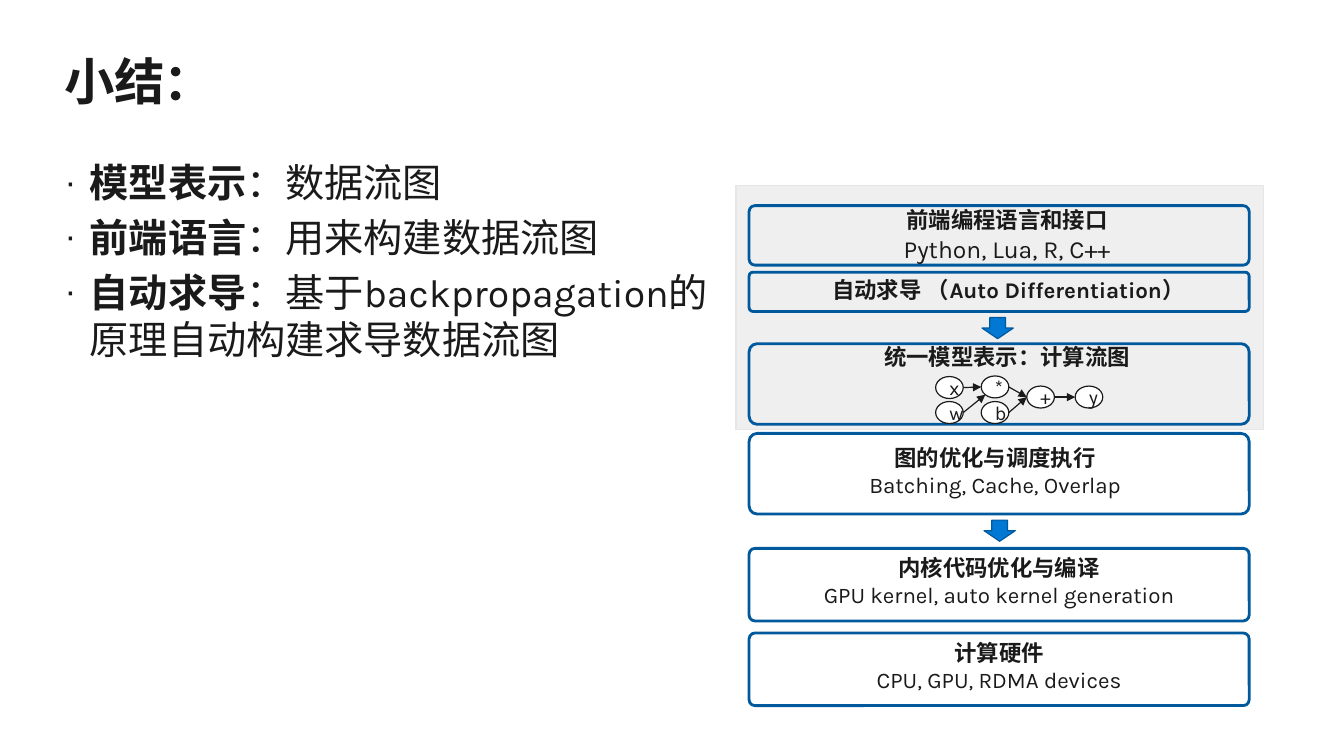
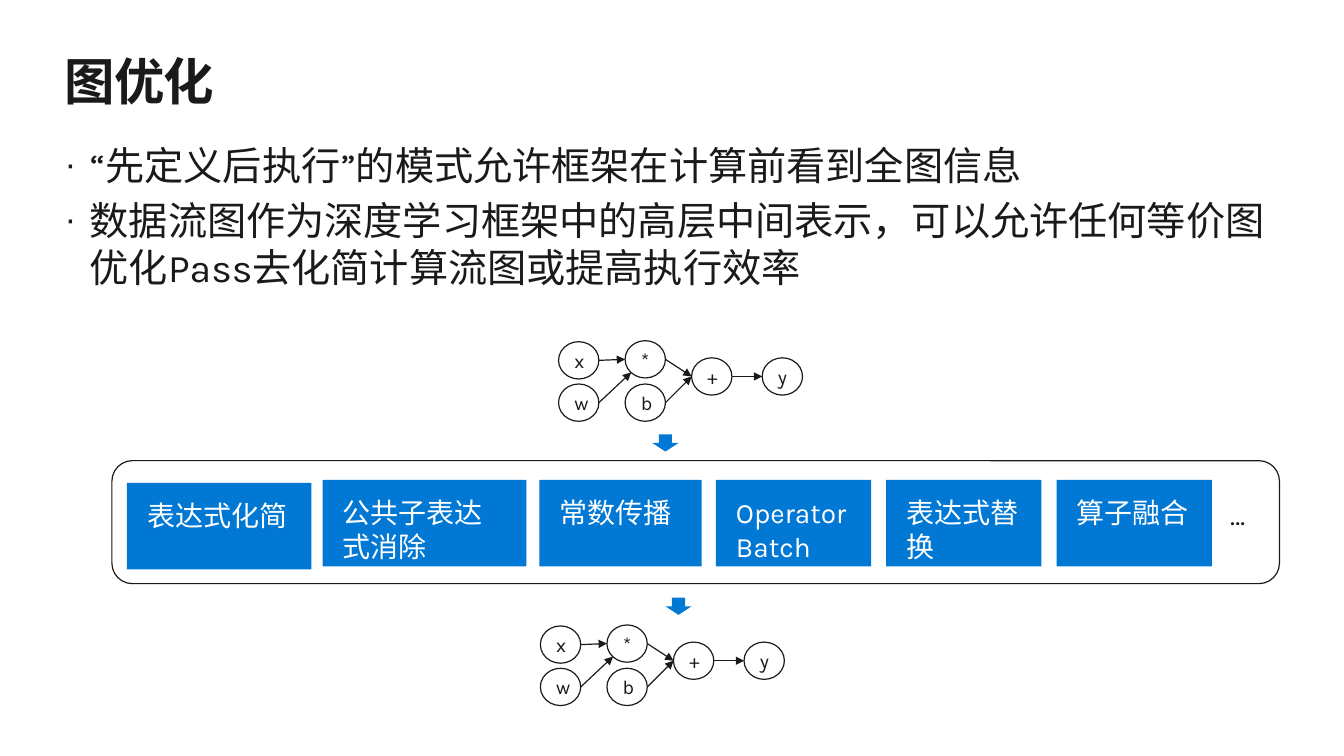
from dataclasses import dataclass

from lxml import etree
from pptx import Presentation
from pptx import util as u
from pptx.dml.color import RGBColor
from pptx.enum import shapes, text
from pptx.oxml import ns


@dataclass(frozen=True)
class Theme:
    font: str = "Karla"
    ink: str = "1A1A1A"
    white: str = "FFFFFF"
    blue: str = "0078D4"
    navy: str = "00599D"
    grey: str = "EFEFEF"
    rim: str = "E6E6E6"
    title: float = 36
    body: float = 28
    item: float = 20
    label: float = 16
    accent: float = 17.6
    node: float = 14
    thin: float = 0.85
    thick: float = 2


THEME = Theme()
WIDTH, HEIGHT, MARGIN = 13.33, 7.5, 0.64
FULL = WIDTH - 2 * MARGIN
SHAPE = shapes.MSO_SHAPE
LEFT, CENTER = text.PP_ALIGN.LEFT, text.PP_ALIGN.CENTER
TOP, MIDDLE = text.MSO_ANCHOR.TOP, text.MSO_ANCHOR.MIDDLE

# Content: a paragraph is a list of (words, bold) spans
SUMMARY = [
    [("模型表示", True), ("：数据流图", False)],
    [("前端语言", True), ("：用来构建数据流图", False)],
    [("自动求导", True), ("：基于backpropagation的原理自动构建求导数据流图", False)],
]
GRAPH_POINTS = [
    [("“先定义后执行”的模式允许框架在计算前看到全图信息", False)],
    [("数据流图作为深度学习框架中的高层中间表示，可以允许任何等价图优化Pass去化简计算流图或提高执行效率", False)],
]

# Stack layers: top, height, corner, label top, label shift, heading, detail, detail size
STACK_LEFT, STACK_WIDTH = 7.43, 4.96
LAYERS = [
    (2.04, 0.59, 0.1, 2.0, 0.08, "前端编程语言和接口", "Python, Lua, R, C++", THEME.accent),
    (2.7, 0.39, 0.1, 2.69, 0.09, "自动求导 （Auto Differentiation）", None, None),
    (3.41, 0.8, 0.1, 3.35, 0.08, "统一模型表示：计算流图", None, None),
    (4.3, 0.8, 0.1, 4.36, -0.04, "图的优化与调度执行", "Batching, Cache, Overlap", THEME.label),
    (5.44, 0.72, 0.08, 5.45, 0, "内核代码优化与编译", "GPU kernel, auto kernel generation", THEME.label),
    (6.28, 0.72, 0.08, 6.29, 0, "计算硬件", "CPU, GPU, RDMA devices", THEME.label),
]
STACK_ARROWS = [(9.74, 3.15), (9.76, 5.16)]

# Optimization passes: name, left, top, width
PASSES = [
    ("表达式化简", 1.26, 4.79, 1.83),
    ("公共子表达式消除", 3.2, 4.76, 2.02),
    ("常数传播", 5.35, 4.76, 1.61),
    ("Operator Batch", 7.1, 4.76, 1.54),
    ("表达式替换", 8.79, 4.76, 1.54),
    ("算子融合", 10.48, 4.76, 1.54),
]
PASS_ARROWS = [(6.47, 4.31), (6.6, 5.93)]

# Data-flow graph at full scale: node places, and edges with their end point on the target
NODE_WIDTH, NODE_HEIGHT = 0.4, 0.37
NODES = {"x": (0, 0.01), "w": (0, 0.43), "b": (0.66, 0.43),
         "*": (0.66, 0), "+": (1.32, 0.17), "y": (2.02, 0.17)}
SIDE, LOWER = (0, 0.5), (0.15, 0.85)
EDGES = [("x", "*", SIDE), ("w", "*", LOWER), ("b", "+", SIDE),
         ("*", "+", SIDE), ("+", "y", SIDE)]


# Text
def write(frame, paragraphs, *, size, color=THEME.ink, align=LEFT, anchor=TOP,
          inset=(0.1, 0.05), wrap=True, spacing=None, bullet=False):
    """Fill a frame with lists of (words, bold[, size]) spans."""
    frame.word_wrap = wrap
    frame.auto_size = text.MSO_AUTO_SIZE.NONE
    frame.vertical_anchor = anchor
    frame.margin_left = frame.margin_right = u.Inches(inset[0])
    frame.margin_top = frame.margin_bottom = u.Inches(inset[1])
    for index, spans in enumerate(paragraphs):
        para = frame.add_paragraph() if index else frame.paragraphs[0]
        para.alignment = align
        if bullet:
            add_bullet(para)
        for words, bold, *own_size in spans:
            span = para.add_run()
            span.text = words
            span.font.size = u.Pt(own_size[0] if own_size else size)
            span.font.bold = bold
            span.font.name = THEME.font
            span.font.color.rgb = RGBColor.from_string(color)
            properties = span.font._element
            etree.SubElement(properties, ns.qn("a:ea"), typeface=THEME.font)
            if spacing is not None:
                properties.set("spc", str(round(spacing * 100)))


def add_bullet(para):
    properties = para._p.get_or_add_pPr()
    indent = u.Inches(0.25)
    properties.set("marL", str(indent))
    properties.set("indent", str(-indent))
    etree.SubElement(properties, ns.qn("a:buSzPct"), val="90000")
    etree.SubElement(properties, ns.qn("a:buChar"), char="·")


def add_text(page, at, paragraphs, **style):
    box = page.shapes.add_textbox(*map(u.Inches, at))
    write(box.text_frame, paragraphs, **style)


# Shapes
def add_box(page, kind, at, fill=None, line=None, weight=THEME.thin, corner=None):
    box = page.shapes.add_shape(kind, *map(u.Inches, at))
    box.shadow.inherit = False
    if fill:
        box.fill.solid()
        box.fill.fore_color.rgb = RGBColor.from_string(fill)
    else:
        box.fill.background()
    if line:
        box.line.color.rgb = RGBColor.from_string(line)
        box.line.width = u.Pt(weight)
    else:
        box.line.fill.background()
    if corner is not None:
        box.adjustments[0] = corner
    return box


def add_arrow(page, start, end):
    arrow = page.shapes.add_connector(shapes.MSO_CONNECTOR.STRAIGHT,
                                      *map(u.Inches, (*start, *end)))
    arrow.line.color.rgb = RGBColor.from_string(THEME.ink)
    arrow.line.width = u.Pt(THEME.thin)
    etree.SubElement(arrow.line._get_or_add_ln(), ns.qn("a:tailEnd"), type="triangle")
    etree.SubElement(arrow._element.spPr, ns.qn("a:effectLst"))


def add_graph(page, left, top, across=1, down=1):
    """Draw the data-flow graph, scaled across and down."""
    width, height = NODE_WIDTH * across, NODE_HEIGHT * down

    def point(name, share):
        x, y = NODES[name]
        return left + x * across + share[0] * width, top + y * down + share[1] * height

    for name in NODES:
        node = add_box(page, SHAPE.OVAL, (*point(name, (0, 0)), width, height),
                       THEME.white, THEME.ink)
        write(node.text_frame, [[(name, False)]], size=THEME.node,
              align=CENTER, anchor=MIDDLE)
    for source, target, end in EDGES:
        add_arrow(page, point(source, (1, 0.5)), point(target, end))


# Pages
def add_page(deck, title, points, top, width, height):
    page = deck.slides.add_slide(deck.slide_layouts[1])
    heading, body = page.placeholders
    for holder, at in ((heading, (MARGIN, 0.5, FULL, 0.61)),
                       (body, (MARGIN, top, width, height))):
        holder.left, holder.top, holder.width, holder.height = map(u.Inches, at)
    write(heading.text_frame, [[(title, True)]], size=THEME.title,
          inset=(0, 0), spacing=-0.5)
    write(body.text_frame, points, size=THEME.body, inset=(0, 0), bullet=True)
    return page


def add_summary(deck):
    page = add_page(deck, "小结：", SUMMARY, 1.57, 6.52, 2.07)
    add_box(page, SHAPE.RECTANGLE, (7.3, 1.84, 5.23, 2.42), THEME.grey, THEME.rim, 0.75)
    for top, height, corner, label_top, shift, heading, detail, size in LAYERS:
        add_box(page, SHAPE.ROUNDED_RECTANGLE, (STACK_LEFT, top, STACK_WIDTH, height),
                line=THEME.navy, weight=THEME.thick, corner=corner)
        lines = [[(heading, True)]]
        if detail:
            lines.append([(detail, False, size)])
        add_text(page, (STACK_LEFT + shift, label_top, STACK_WIDTH, 0.32 * len(lines)),
                 lines, size=THEME.label, align=CENTER)
    add_graph(page, 9.28, 3.73, across=0.685, down=0.59)
    for place in STACK_ARROWS:
        add_box(page, SHAPE.DOWN_ARROW, (*place, 0.31, 0.21), THEME.blue, THEME.navy)


def add_optimization(deck):
    page = add_page(deck, "图优化", GRAPH_POINTS, 1.4, FULL, 1.51)
    add_graph(page, 5.54, 3.38)
    add_graph(page, 5.36, 6.2)
    add_box(page, SHAPE.ROUNDED_RECTANGLE, (1.11, 4.57, 11.58, 1.22),
            THEME.white, THEME.ink)
    for place in PASS_ARROWS:
        add_box(page, SHAPE.DOWN_ARROW, (*place, 0.26, 0.17), THEME.blue)
    for name, left, top, width in PASSES:
        box = add_box(page, SHAPE.RECTANGLE, (left, top, width, 0.86), THEME.blue)
        write(box.text_frame, [[(name, False)]], size=THEME.item,
              color=THEME.white, inset=(0.2, 0.16))
    add_text(page, (12.2, 4.94, 0.21, 0.34), [[("…", False)]], size=THEME.item,
             inset=(0, 0), wrap=False)


def main():
    deck = Presentation()
    deck.slide_width, deck.slide_height = u.Inches(WIDTH), u.Inches(HEIGHT)
    add_summary(deck)
    add_optimization(deck)
    deck.save("out.pptx")


if __name__ == "__main__":
    main()
